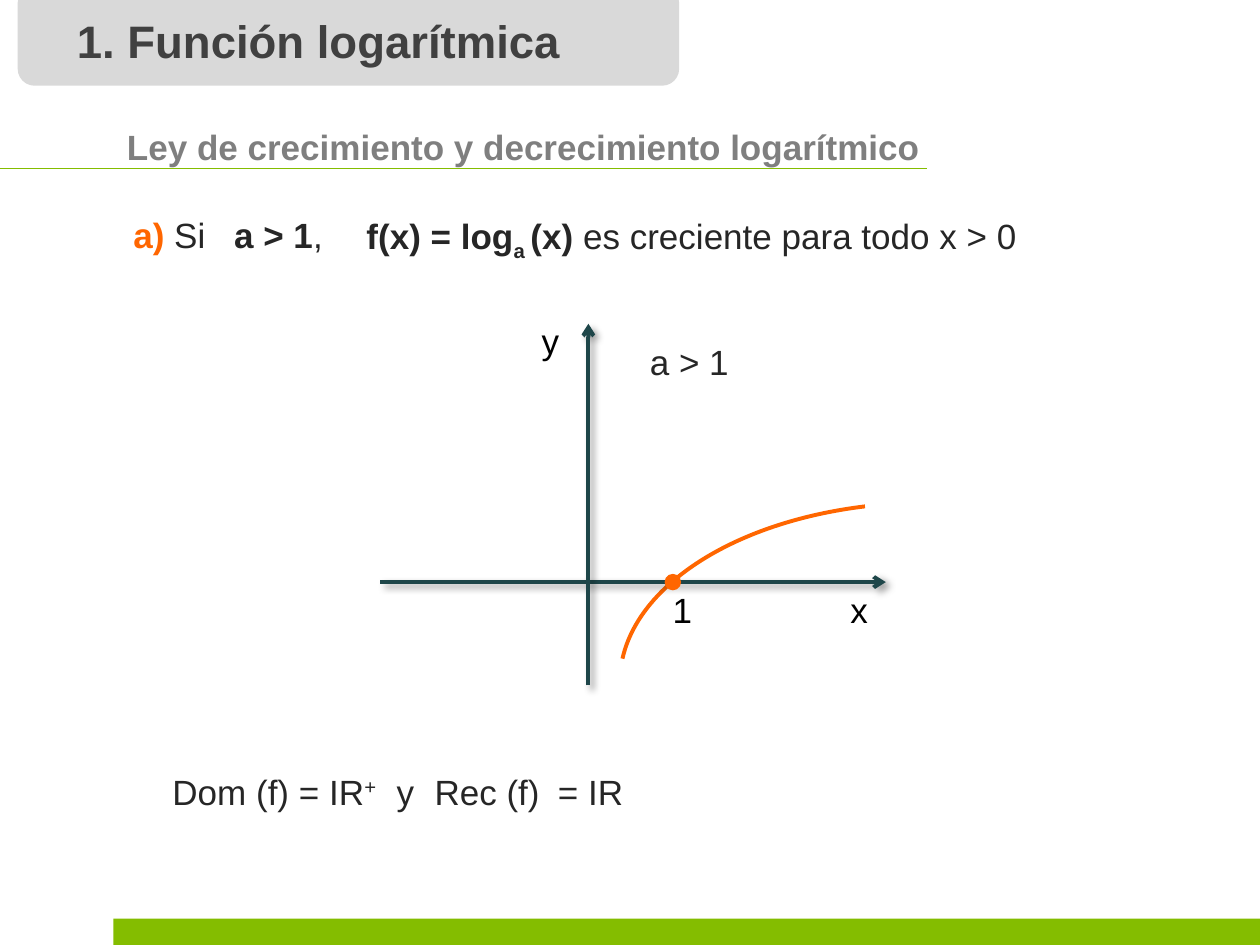
from dataclasses import dataclass
from typing import NamedTuple

from lxml.etree import SubElement
from pptx import Presentation
from pptx.dml.color import RGBColor
from pptx.enum.shapes import MSO_CONNECTOR as Link, MSO_SHAPE as Preset
from pptx.enum.text import MSO_ANCHOR as Anchor, MSO_AUTO_SIZE as Fit, PP_ALIGN as Align
from pptx.oxml.ns import qn
from pptx.util import Inches, Pt

COLUMNS, ROWS = 100, 75  # square grid cells over a 10 x 7.5 inch page


@dataclass(frozen=True)
class Theme:
    font: str = "Arial"
    green: str = "84BD00"
    orange: str = "FF6600"
    teal: str = "1E4649"
    tab: str = "D9D9D9"
    title: str = "404040"
    heading: str = "7F7F7F"
    body: str = "262626"
    black: str = "000000"
    title_size: int = 26
    body_size: int = 20
    thin: float = 0.75
    thick: float = 2.25


THEME = Theme()


class Area(NamedTuple):
    column: float
    row: float
    columns: float
    rows: float


class Span(NamedTuple):
    text: str
    color: str = THEME.body
    bold: bool = False
    baseline: int = 0
    size: int = THEME.body_size


class Label(NamedTuple):
    area: Area
    spans: list
    layout: dict = {}
    tabs: tuple = ()  # columns from the start of the text


class Stroke(NamedTuple):
    start: tuple
    end: tuple
    color: str
    width: float
    is_axis: bool = False


deck = Presentation()
deck.slide_width, deck.slide_height = Inches(10), Inches(7.5)
CELL_WIDTH, CELL_HEIGHT = deck.slide_width / COLUMNS, deck.slide_height / ROWS


def across(columns: float) -> int:
    return round(columns * CELL_WIDTH)


def down(rows: float) -> int:
    return round(rows * CELL_HEIGHT)


def emu(area: Area) -> tuple:
    return across(area.column), down(area.row), across(area.columns), down(area.rows)


def write(shape, label: Label) -> None:
    """Place a text shape and fill its only paragraph."""
    shape.left, shape.top, shape.width, shape.height = emu(label.area)
    frame = shape.text_frame
    for name, value in {"word_wrap": True, "auto_size": Fit.SHAPE_TO_FIT_TEXT,
                        "vertical_anchor": Anchor.TOP}.items():
        setattr(frame, name, value)
    para = frame.paragraphs[0]
    for name, value in {"alignment": Align.LEFT, **label.layout}.items():
        setattr(para, name, value)
    if label.tabs:
        stops = SubElement(para._p.get_or_add_pPr(), qn("a:tabLst"))
        for column in label.tabs:
            SubElement(stops, qn("a:tab"), pos=str(across(column)), algn="l")
    for span in label.spans:
        run = para.add_run()
        run.text = span.text
        for name, value in {"name": THEME.font, "size": Pt(span.size),
                            "bold": span.bold}.items():
            setattr(run.font, name, value)
        run.font.color.rgb = RGBColor.from_string(span.color)
        if span.baseline:
            run.font._element.set("baseline", str(span.baseline * 1000))


def add_label(page, label: Label) -> None:
    write(page.shapes.add_textbox(*emu(label.area)), label)


def add_figure(page, preset, area: Area, fill: str = "", line: str = "",
               width: float = THEME.thin, adjustments: tuple = ()):
    shape = page.shapes.add_shape(preset, *emu(area))
    shape.shadow.inherit = False
    for index, value in enumerate(adjustments):
        shape.adjustments[index] = value
    for part, color in ((shape.fill, fill), (shape.line.fill, line)):
        if color:
            part.solid()
            part.fore_color.rgb = RGBColor.from_string(color)
        else:
            part.background()
    if line:
        shape.line.width = Pt(width)
    return shape


def add_stroke(page, stroke: Stroke) -> None:
    """Draw a line; an axis also gets an arrowhead and a soft shadow."""
    (x1, y1), (x2, y2) = stroke.start, stroke.end
    link = page.shapes.add_connector(Link.STRAIGHT, across(x1), down(y1), across(x2), down(y2))
    link.line.color.rgb = RGBColor.from_string(stroke.color)
    link.line.width = Pt(stroke.width)
    effects = SubElement(link._element.spPr, qn("a:effectLst"))
    if stroke.is_axis:
        SubElement(link.line._get_or_add_ln(), qn("a:tailEnd"), type="arrow")
        shadow = SubElement(effects, qn("a:outerShdw"), blurRad=str(Pt(4)), dist=str(Pt(3)),
                            dir=str(45 * 60000), algn="tl", rotWithShape="0")
        color = SubElement(shadow, qn("a:srgbClr"), val=THEME.black)
        SubElement(color, qn("a:alpha"), val="40000")


def angle(degrees: float) -> float:
    """Arc adjustments count 60000ths of a degree, scaled by 100000."""
    return degrees * 60000 / 100000


TITLE = Label(Area(5.1, 0.5, 55.1, 5.4),
              [Span("1. Función logarítmica", THEME.title, True, size=THEME.title_size)])

TEXTS = [
    Label(Area(9.6, 15.8, 18.7, 4.7),
          [Span("a) ", THEME.orange, True), Span("Si\t"), Span("a > 1", bold=True), Span(",")],
          {"line_spacing": 1.2}, (8,)),
    Label(Area(28.1, 15.8, 54.1, 4.7),
          [Span("f(x) = log", bold=True), Span("a ", bold=True, baseline=-25),
           Span("(x) ", bold=True), Span("es creciente para todo x > 0")],
          {"line_spacing": 1.2}),
    Label(Area(9.1, 9.5, 65.4, 4.4),
          [Span("Ley de crecimiento y decrecimiento logarítmico", THEME.heading, True)]),
    Label(Area(12.7, 61, 38.9, 4),
          [Span("Dom (f) = IR"), Span("+", baseline=30), Span("\ty\tRec (f)\t= IR")],
          {"line_spacing": 0.9, "space_before": Pt(4)}, (17.8, 20.8, 30.6)),
]

AXES = [
    Stroke((30.2, 46.2), (70.3, 46.2), THEME.teal, THEME.thick, True),
    Stroke((46.7, 54.4), (46.7, 25.7), THEME.teal, THEME.thick, True),
]

GRAPH_LABELS = [
    Label(Area(50.6, 26.5, 10.4, 4.4), [Span("a > 1")]),
    Label(Area(66.5, 46.2, 7.9, 4.4), [Span("x", THEME.black)]),
    Label(Area(42, 24.9, 7.9, 4.4), [Span("y", THEME.black)]),
    Label(Area(52.4, 46.2, 3.6, 4.4), [Span("1", THEME.black)]),
]

page = deck.slides.add_slide(deck.slide_layouts[5])

# Footer band, and title on its tab
add_figure(page, Preset.RECTANGLE, Area(9, 72.9, 91, 2.1), THEME.green)
tab = add_figure(page, Preset.ROUNDED_RECTANGLE, Area(1.4, -1.1, 52.5, 7.9), THEME.tab,
                 adjustments=(0.17,))
title = page.shapes.title
write(title, TITLE)
title._element.addprevious(tab._element)

# Heading rule and statements
add_stroke(page, Stroke((0, 13.4), (73.6, 13.4), THEME.green, THEME.thin))
for text in TEXTS:
    add_label(page, text)

# Graph: curve, axes, labels and the crossing point
add_figure(page, Preset.ARC, Area(49.2, 39.9, 48.8, 28.4), line=THEME.orange,
           width=THEME.thick, adjustments=(angle(184.3), angle(250.4)))
for axis in AXES:
    add_stroke(page, axis)
for label in GRAPH_LABELS:
    add_label(page, label)
add_figure(page, Preset.OVAL, Area(52.8, 45.6, 1.2, 1.2), THEME.orange, THEME.orange)

deck.save("out.pptx")
